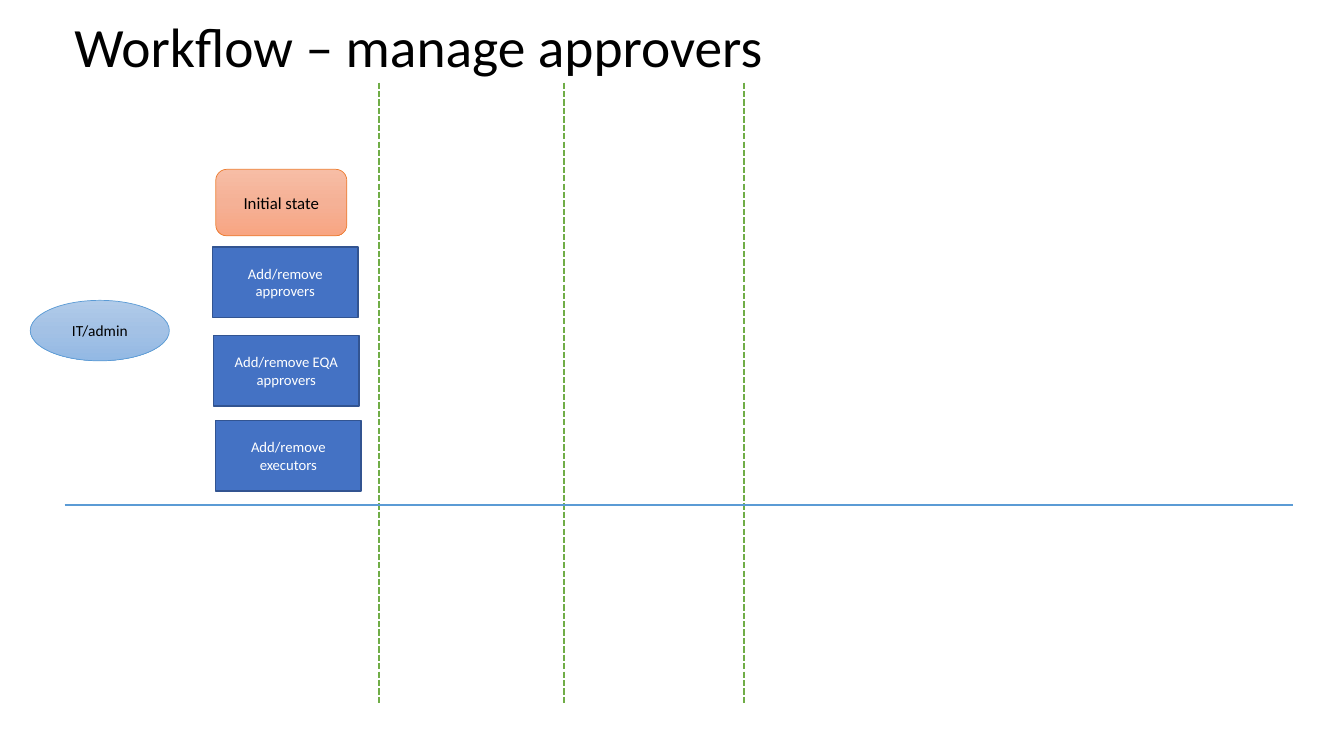
from lxml import etree
from pptx import Presentation, util as u
from pptx.dml.color import RGBColor
from pptx.enum import dml, shapes, text
from pptx.oxml.ns import qn

PX = 9144  # EMU per px, 100 px to the inch
SLIDE = (1333, 750)

THEME = {
    "font": "Calibri",
    "black": "000000", "white": "FFFFFF",
    "lane": "70AD47", "baseline": "5B9BD5",
    "title_size": 39.6,
    "state": {"fill": ("F7BDA5", "F5B196", "F8A582"), "line": "ED7D31", "weight": 0.5,
              "size": 12, "color": "000000"},
    "actor": {"fill": ("B1CBE9", "A3C1E5", "93B9E4"), "line": "5B9BD5", "weight": 0.5,
              "size": 11, "color": "000000"},
    "action": {"fill": ("4472C4",), "line": "325491", "weight": 1,
               "size": 10.5, "color": "FFFFFF"},
}

TITLE = ("Workflow – manage approvers", (64, 16, 1150, 66))
LANE_XS = (376, 559, 738)
LANE_TOP, LANE_BOTTOM = 82, 697
BASELINE = (64, 501, 1282, 501)
NODES = [
    ("Initial state", "ROUNDED_RECTANGLE", "state", (214, 168, 130, 66)),
    ("IT/admin", "OVAL", "actor", (30, 298, 138, 60)),
]
ACTION_SIZE = (144, 70)
ACTIONS = [
    ("Add/remove approvers", (211, 245)),
    ("Add/remove EQA approvers", (212, 333)),
    ("Add/remove executors", (214, 417)),
]


def emu(lengths):
    return [u.Emu(n * PX) for n in lengths]


def rgb(name):
    return RGBColor.from_string(name)


def write(sp, content, size, color, align=text.PP_ALIGN.CENTER, spacing=None):
    tf = sp.text_frame
    tf.word_wrap = True
    tf.vertical_anchor = text.MSO_ANCHOR.MIDDLE
    p = tf.paragraphs[0]
    p.alignment = align
    if spacing:
        p.line_spacing = spacing
    r = p.add_run()
    r.text = content
    r.font.name = THEME["font"]
    r.font.size = u.Pt(size)
    r.font.color.rgb = rgb(color)


def paint(fill, colors):
    """Fill solid for one colour, or as an even top-to-bottom gradient for several."""
    if len(colors) == 1:
        fill.solid()
        fill.fore_color.rgb = rgb(colors[0])
        return
    fill.gradient()
    fill.gradient_angle = 270
    stops = fill._xPr.find(qn("a:gradFill")).find(qn("a:gsLst"))
    for stop in list(stops):
        stops.remove(stop)
    for i, color in enumerate(colors):
        stop = etree.SubElement(stops, qn("a:gs"), pos=str(100000 * i // (len(colors) - 1)))
        etree.SubElement(stop, qn("a:srgbClr"), val=color)


def add_node(s, content, shape_name, style_name, box):
    style = THEME[style_name]
    sp = s.shapes.add_shape(shapes.MSO_SHAPE[shape_name], *emu(box))
    sp.shadow.inherit = False
    paint(sp.fill, style["fill"])
    sp.line.color.rgb = rgb(style["line"])
    sp.line.width = u.Pt(style["weight"])
    write(sp, content, style["size"], style["color"])


def add_line(s, ends, color, dash=None):
    line = s.shapes.add_connector(shapes.MSO_CONNECTOR.STRAIGHT, *emu(ends))
    line.line.color.rgb = rgb(color)
    line.line.width = u.Pt(1.5)
    if dash:
        line.line.dash_style = dash
    etree.SubElement(line._element.spPr, qn("a:effectLst"))


def main():
    prs = Presentation()
    prs.slide_width, prs.slide_height = emu(SLIDE)
    s = prs.slides.add_slide(prs.slide_layouts[6])

    for x in LANE_XS:
        add_line(s, (x, LANE_TOP, x, LANE_BOTTOM), THEME["lane"], dml.MSO_LINE.SQUARE_DOT)
    content, box = TITLE
    write(s.shapes.add_textbox(*emu(box)), content, THEME["title_size"], THEME["black"],
          align=text.PP_ALIGN.LEFT, spacing=0.9)
    add_line(s, BASELINE, THEME["baseline"])
    for node in NODES:
        add_node(s, *node)
    for content, corner in ACTIONS:
        add_node(s, content, "RECTANGLE", "action", corner + ACTION_SIZE)

    prs.save("out.pptx")


if __name__ == "__main__":
    main()
